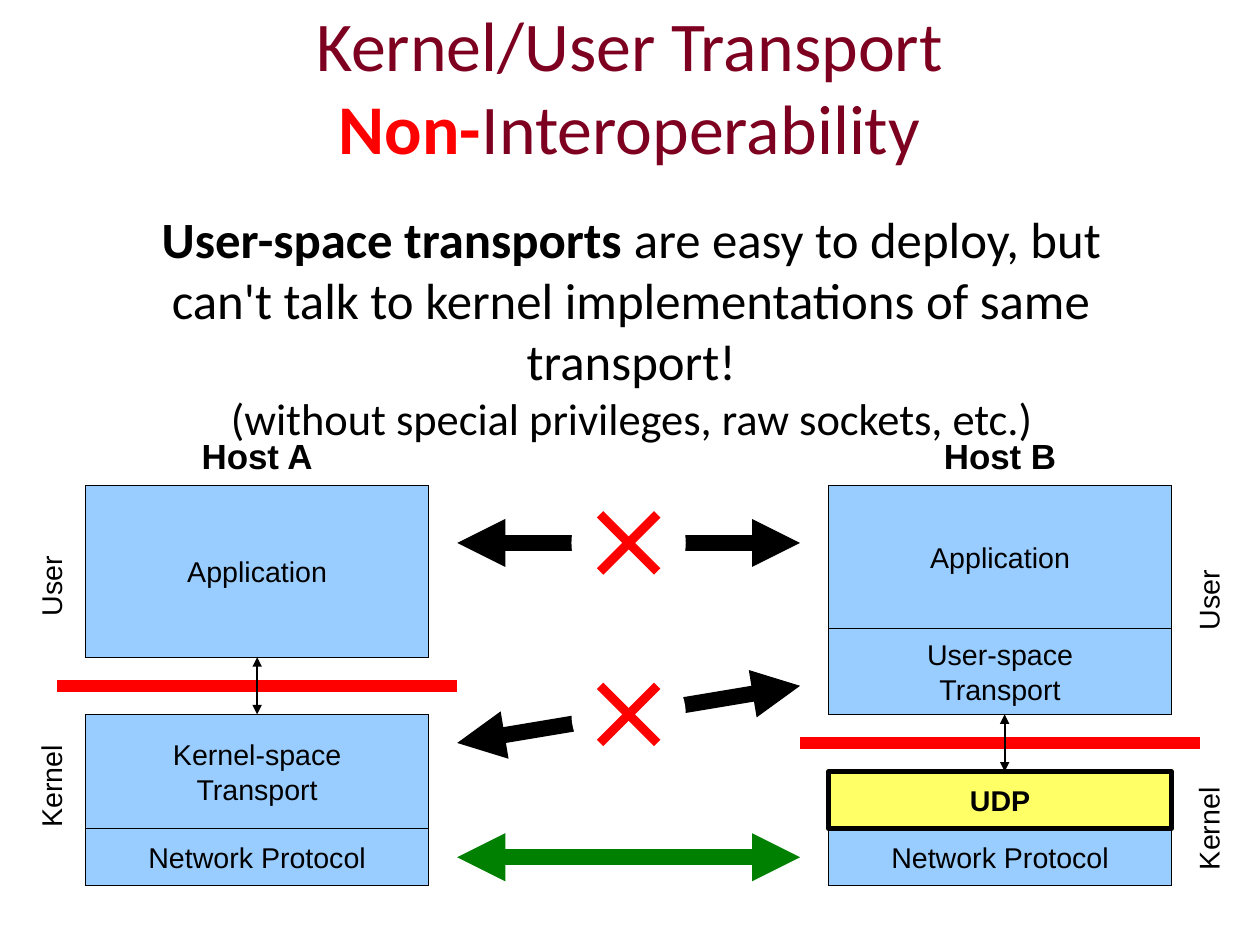
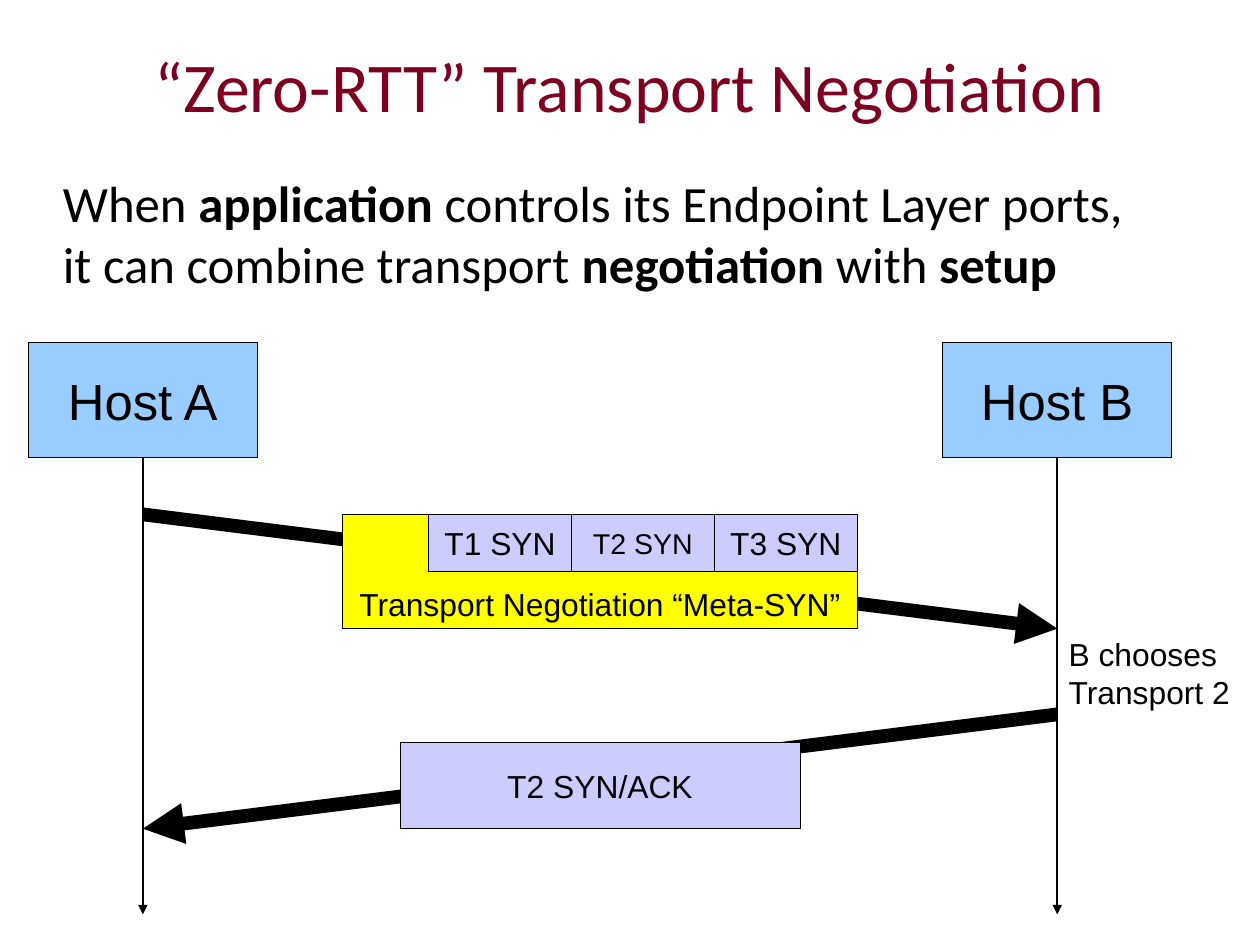
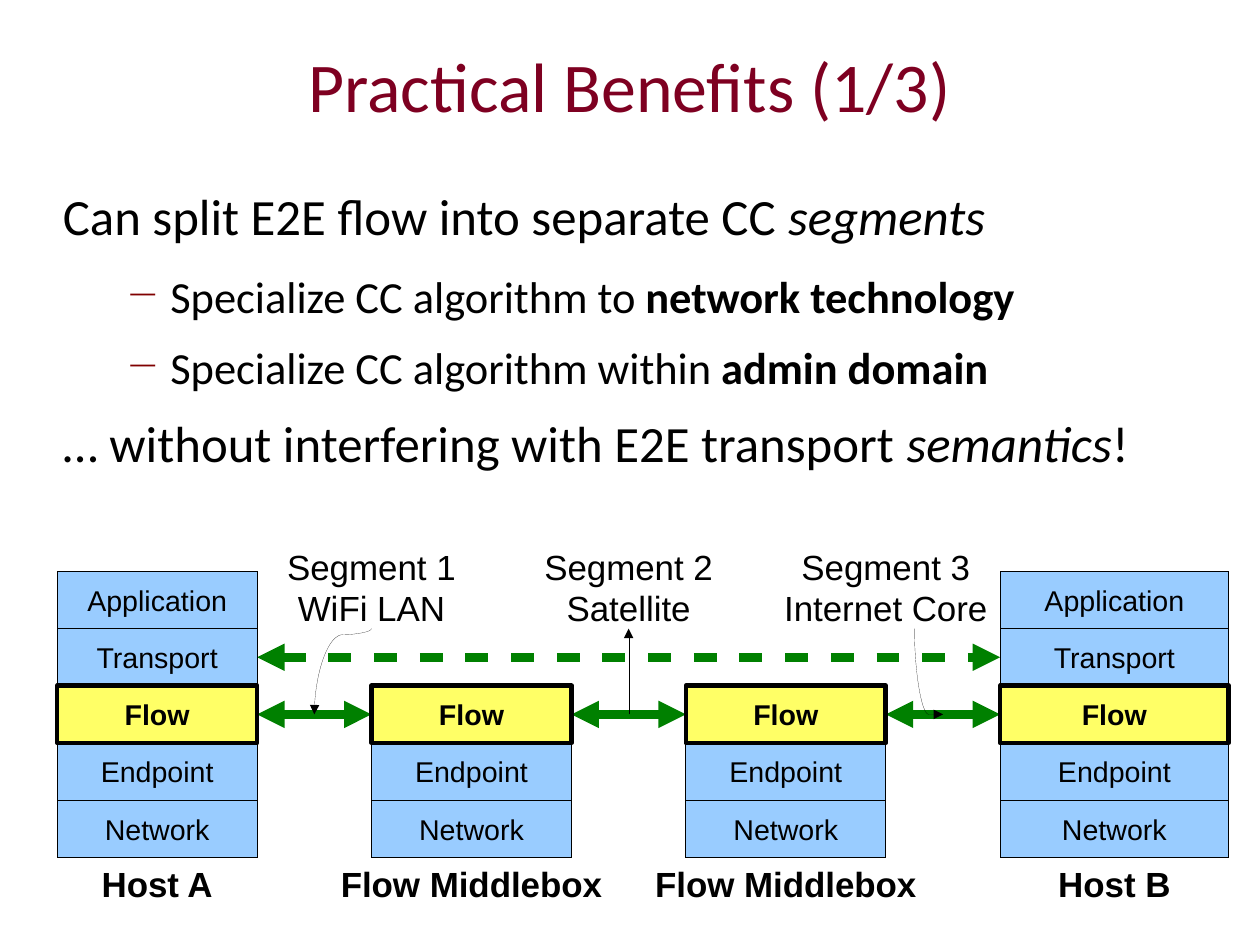
from dataclasses import dataclass, replace
from typing import Optional

from lxml.etree import SubElement
from pptx import Presentation
from pptx.dml.color import RGBColor
from pptx.enum.shapes import MSO_CONNECTOR as Connector, MSO_SHAPE as Preset
from pptx.enum.text import MSO_ANCHOR as Anchor, PP_ALIGN as Align
from pptx.oxml.ns import qn
from pptx.util import Inches, Pt


@dataclass(frozen=True)
class Theme:
    heading_font: str = "Calibri"
    diagram_font: str = "Arial"
    title: str = "7E0021"
    text: str = "000000"
    background: str = "FFFFFF"
    layer: str = "99CCFF"
    highlight: str = "FFFF66"
    negotiation: str = "FFFF00"
    message: str = "CCCCFF"
    barrier: str = "FF0000"
    success: str = "008000"
    bullet: str = "800000"
    title_size: int = 44
    body_size: int = 32
    detail_size: int = 28
    caption_size: int = 22
    message_size: int = 20
    label_size: int = 18
    hairline: float = 0
    thin: float = 1.45
    border: float = 2.89
    medium: float = 5.75
    barrier_width: float = 7.2
    message_width: float = 8.65
    thick: float = 10.09


THEME = Theme()
CENTIMETRES_PER_INCH = 2.54


@dataclass(frozen=True)
class Area:
    left: float
    top: float
    width: float
    height: float

    def lengths(self) -> list:
        return [Inches(value) for value in (self.left, self.top, self.width, self.height)]


@dataclass(frozen=True)
class Run:
    text: str
    size: float = THEME.label_size
    font: str = THEME.diagram_font
    color: str = THEME.text
    bold: bool = False
    italic: bool = False


@dataclass(frozen=True)
class Line:
    runs: tuple
    align: Align = Align.CENTER
    space_after: float = 0
    bulleted: bool = False


@dataclass(frozen=True)
class Box:
    area: Area
    text: str
    fill: str = THEME.layer
    size: float = THEME.label_size
    bold: bool = False
    border: float = THEME.hairline
    anchor: Anchor = Anchor.MIDDLE


@dataclass(frozen=True)
class Label:
    area: Area
    text: str
    size: float = THEME.caption_size
    bold: bool = False
    align: Align = Align.CENTER
    rotation: float = 0


@dataclass(frozen=True)
class Link:
    start: tuple
    end: tuple
    color: str = THEME.text
    width: float = THEME.thin
    head: bool = False
    tail: bool = False
    dashed: bool = False
    bend: Optional[float] = None


def set_values(target, values: dict) -> None:
    for name, value in values.items():
        setattr(target, name, value)


def add_bullet(paragraph) -> None:
    properties = paragraph._p.get_or_add_pPr()
    properties.set("marL", str(Inches(0.94)))
    properties.set("indent", str(Inches(-0.35)))
    color = SubElement(properties, qn("a:buClr"))
    SubElement(color, qn("a:srgbClr"), val=THEME.bullet)
    SubElement(properties, qn("a:buSzPct"), val="56000")
    SubElement(properties, qn("a:buChar"), char="\u2014")


def write_text(shape, lines: list, anchor: Anchor, inset: tuple = (0.1, 0.05)) -> None:
    frame = shape.text_frame
    across, down = map(Inches, inset)
    set_values(frame, {
        "word_wrap": True, "vertical_anchor": anchor,
        "margin_left": across, "margin_right": across,
        "margin_top": down, "margin_bottom": down,
    })
    for index, line in enumerate(lines):
        paragraph = frame.add_paragraph() if index else frame.paragraphs[0]
        set_values(paragraph, {"alignment": line.align, "space_after": Pt(line.space_after)})
        if line.bulleted:
            add_bullet(paragraph)
        for run in line.runs:
            for part_index, part in enumerate(run.text.split("\n")):
                if part_index:
                    paragraph.add_line_break()
                if part:
                    text_run = paragraph.add_run()
                    text_run.text = part
                    set_values(text_run.font, {
                        "name": run.font, "size": Pt(run.size),
                        "bold": run.bold, "italic": run.italic,
                    })
                    text_run.font.color.rgb = RGBColor.from_string(run.color)


def plain_lines(text: str, size: float, bold: bool, align: Align = Align.CENTER) -> list:
    return [Line((Run(part, size, bold=bold),), align) for part in text.split("\n")]


def style_outline(shape, color: str, width: float):
    shape.line.color.rgb = RGBColor.from_string(color)
    outline = shape.line._get_or_add_ln()
    outline.set("w", str(Pt(width)))
    return outline


def draw_box(slide, box: Box) -> None:
    shape = slide.shapes.add_shape(Preset.RECTANGLE, *box.area.lengths())
    shape.shadow.inherit = False
    shape.fill.solid()
    shape.fill.fore_color.rgb = RGBColor.from_string(box.fill)
    style_outline(shape, THEME.text, box.border)
    write_text(shape, plain_lines(box.text, box.size, box.bold), box.anchor)


def draw_label(slide, label: Label) -> None:
    shape = slide.shapes.add_textbox(*label.area.lengths())
    shape.rotation = label.rotation
    write_text(shape, plain_lines(label.text, label.size, label.bold, label.align), Anchor.TOP)


def add_curve(slide, link: Link):
    (x1, y1), (x2, y2) = link.start, link.end
    center_x, center_y = (x1 + x2) / 2, (y1 + y2) / 2
    turn = 1 if x2 < x1 else -1
    half_width, half_height = turn * (y1 - y2) / 2, turn * (x2 - x1) / 2
    ends = (center_x + half_width, center_y + half_height,
            center_x - half_width, center_y - half_height)
    connector = slide.shapes.add_connector(Connector.CURVE, *map(Inches, ends))
    properties = connector._element.spPr
    properties.find(qn("a:xfrm")).set("rot", str(turn % 4 * 5400000))
    geometry = properties.find(qn("a:prstGeom"))
    guides = geometry.find(qn("a:avLst"))
    if guides is None:
        guides = SubElement(geometry, qn("a:avLst"))
    SubElement(guides, qn("a:gd"), name="adj1", fmla=f"val {round(link.bend * 100000)}")
    return connector


def draw_link(slide, link: Link) -> None:
    if link.bend is None:
        ends = map(Inches, link.start + link.end)
        connector = slide.shapes.add_connector(Connector.STRAIGHT, *ends)
    else:
        connector = add_curve(slide, link)
    outline = style_outline(connector, link.color, link.width)
    if link.dashed:
        dashes = SubElement(outline, qn("a:custDash"))
        SubElement(dashes, qn("a:ds"), d="250000", sp="250000")
    for tag, wanted in {"a:headEnd": link.head, "a:tailEnd": link.tail}.items():
        if wanted:
            SubElement(outline, qn(tag), type="triangle")
    SubElement(connector._element.spPr, qn("a:effectLst"))


def draw_all(slide, items: list) -> None:
    painters = {Box: draw_box, Label: draw_label, Link: draw_link}
    for item in items:
        painters[type(item)](slide, item)


def draw_cross(slide, center_x: float, center_y: float) -> None:
    area = Area(center_x - 0.5, center_y - 0.5, 1, 1)
    gap = slide.shapes.add_shape(Preset.OVAL, *area.lengths())
    gap.shadow.inherit = False
    gap.fill.solid()
    gap.fill.fore_color.rgb = RGBColor.from_string(THEME.background)
    gap.line.fill.background()
    for rise in (0.25, -0.25):
        draw_link(slide, Link((center_x - 0.25, center_y - rise),
                              (center_x + 0.25, center_y + rise),
                              THEME.barrier, THEME.medium))


def heading_run(text: str, size: float = THEME.body_size, **values) -> Run:
    return Run(text, size, THEME.heading_font, **values)


def title_run(text: str) -> Run:
    return heading_run(text, THEME.title_size, color=THEME.title)


def add_page(presentation, title: tuple, body: list, body_area: Area,
             title_area: Area = Area(0.55, 0.05, 9.92, 1.38)):
    slide = presentation.slides.add_slide(presentation.slide_layouts[6])
    for area, lines, anchor in ((title_area, [Line(title)], Anchor.MIDDLE),
                                (body_area, body, Anchor.TOP)):
        write_text(slide.shapes.add_textbox(*area.lengths()), lines, anchor, (0, 0))
    return slide


def highlight(box: Box) -> Box:
    return replace(box, fill=THEME.highlight, border=THEME.border, bold=True)


def build_interoperability(presentation) -> None:
    title = (
        title_run("Kernel/User Transport\n"),
        heading_run("Non-", THEME.title_size, color=THEME.barrier, bold=True),
        title_run("Interoperability"),
    )
    body = [Line((
        heading_run("User-space transports", bold=True),
        heading_run(" are easy to deploy, but\n"
                    "can't talk to kernel implementations of same transport!\n"),
        heading_run("(without special privileges, raw sockets, etc.)", THEME.detail_size),
    ), space_after=14.2)]
    slide = add_page(presentation, title, body, Area(0.55, 1.82, 9.95, 6.07),
                     Area(0.55, -0.09, 9.92, 1.67))
    left, right, width = 0.75, 7.25, 3
    layers = (
        (left, 7.25, 0.5, "Network Protocol"),
        (left, 6.25, 1, "Kernel-space\nTransport"),
        (left, 4.25, 1.5, "Application"),
        (right, 7.25, 0.5, "Network Protocol"),
        (right, 5.5, 0.75, "User-space\nTransport"),
        (right, 4.25, 1.25, "Application"),
    )
    draw_all(slide, [Box(Area(x, y, width, height), text) for x, y, height, text in layers])
    draw_box(slide, highlight(Box(Area(right, 6.75, width, 0.5), "UDP")))
    sides = (
        (-0.44, 6.69, 1.75, "Kernel"), (-0.44, 4.94, 1.75, "User"),
        (10.06, 7.06, 1, "Kernel"), (9.56, 5.06, 2, "User"),
    )
    draw_all(slide, [Label(Area(x, y, length, 0.38), text, THEME.label_size, rotation=270)
                     for x, y, length, text in sides])
    draw_all(slide, [Link((x, y), (x + 3.5, y), THEME.barrier, THEME.barrier_width)
                     for x, y in ((0.5, 6), (7, 6.5))])
    paths = ((4.75, 4.75, THEME.text), (6.5, 6, THEME.text), (7.5, 7.5, THEME.success))
    draw_all(slide, [Link((4, y1), (7, y2), color, THEME.thick, True, True)
                     for y1, y2, color in paths])
    for center_y in (4.75, 6.25):
        draw_cross(slide, 5.5, center_y)
    draw_all(slide, [Link((x, y), (x, y + 0.5), head=True, tail=True)
                     for x, y in ((2.25, 5.75), (8.79, 6.25))])
    draw_all(slide, [Label(Area(x, 3.75, width, 0.5), text, bold=True)
                     for x, text in ((left, "Host A"), (right, "Host B"))])


def build_negotiation(presentation) -> None:
    body = [Line((
        heading_run("When "),
        heading_run("application", bold=True),
        heading_run(" controls its Endpoint Layer ports,\nit can combine transport "),
        heading_run("negotiation", bold=True),
        heading_run(" with "),
        heading_run("setup", bold=True),
    ), Align.LEFT, 14.2)]
    slide = add_page(presentation, (title_run("“Zero-RTT” Transport Negotiation"),), body,
                     Area(0.55, 1.5, 9.95, 6.28))
    host_a, host_b = 1.25, 9.25
    draw_all(slide, [Link(start, end, width=THEME.message_width, tail=True) for start, end in (
        ((host_b, 6.25), (host_a, 7.25)), ((host_a, 4.5), (host_b, 5.5)))])
    draw_box(slide, Box(Area(3, 4.5, 4.5, 1), "Transport Negotiation “Meta-SYN”",
                        THEME.negotiation, THEME.message_size, anchor=Anchor.BOTTOM))
    sizes = (THEME.message_size, THEME.label_size, THEME.message_size)
    draw_all(slide, [Box(Area(3.75 + 1.25 * index, 4.5, 1.25, 0.5), f"T{index + 1} SYN",
                         THEME.message, size) for index, size in enumerate(sizes)])
    draw_box(slide, Box(Area(3.5, 6.5, 3.5, 0.75), "T2 SYN/ACK",
                        THEME.message, THEME.message_size))
    for center, name in ((host_a, "Host A"), (host_b, "Host B")):
        draw_box(slide, Box(Area(center - 1, 3, 2, 1), name, size=THEME.body_size))
        draw_link(slide, Link((center, 4), (center, 8), tail=True))
    draw_label(slide, Label(Area(host_b, 5.5, 1.71, 0.75), "B chooses\nTransport 2",
                            THEME.message_size, align=Align.LEFT))


def build_benefits(presentation) -> None:
    def statement(*runs: Run) -> Line:
        return Line(runs, Align.LEFT, 14.2)

    def detail(text: str, emphasis: str) -> Line:
        return Line((heading_run(text, THEME.detail_size),
                     heading_run(emphasis, THEME.detail_size, bold=True)),
                    Align.LEFT, 11.3, True)

    body = [
        statement(heading_run("Can split E2E flow into separate CC "),
                  heading_run("segments", italic=True)),
        detail("Specialize CC algorithm to ", "network technology"),
        detail("Specialize CC algorithm within ", "admin domain"),
        statement(heading_run("… without interfering with E2E transport "),
                  heading_run("semantics", italic=True), heading_run("!")),
    ]
    slide = add_page(presentation, (title_run("Practical Benefits (1/3)"),), body,
                     Area(0.55, 1.62, 9.92, 3.38))
    spans = ((2.25, 8.75, 5.75), (2.25, 3.25, 6.25), (5, 6, 6.25), (7.75, 8.75, 6.25))
    draw_all(slide, [Link((x1, y), (x2, y), THEME.success, THEME.medium, True, True,
                          dashed=y == 5.75) for x1, x2, y in spans])
    layers = ("Application", "Transport", "Flow", "Endpoint", "Network")
    stacks = (
        (0.5, 1.75, 0, "Host A"), (3.25, 1.75, 2, "Flow Middlebox"),
        (6, 1.75, 2, "Flow Middlebox"), (8.75, 2, 0, "Host B"),
    )
    for left, width, first, name in stacks:
        boxes = [Box(Area(left, 5 + 0.5 * row, width, 0.5), layers[row])
                 for row in range(first, len(layers))]
        flow = boxes.pop(2 - first)
        draw_all(slide, boxes + [highlight(flow)])
        margin = 0.5 if first else 0
        draw_label(slide, Label(Area(left - margin, 7.5, width + 2 * margin, 0.5),
                                name, bold=True))
    for index, network in enumerate(("WiFi LAN", "Satellite", "Internet Core")):
        draw_label(slide, Label(Area(2 + 2.25 * index, 4.72, 2.5, 0.78),
                                f"Segment {index + 1}\n{network}"))
    pointers = (
        ((3.25, 5.5), (2.75, 6.25), 0.07),
        ((5.5, 6.25), (5.5, 5.5), None),
        ((8, 5.5), (8.25, 6.25), 1),
    )
    draw_all(slide, [Link(start, end, width=THEME.hairline, tail=True, bend=bend)
                     for start, end, bend in pointers])


def main() -> None:
    presentation = Presentation()
    set_values(presentation, {
        "slide_width": Inches(28 / CENTIMETRES_PER_INCH),
        "slide_height": Inches(21 / CENTIMETRES_PER_INCH),
    })
    for build in (build_interoperability, build_negotiation, build_benefits):
        build(presentation)
    presentation.save("out.pptx")


main()
